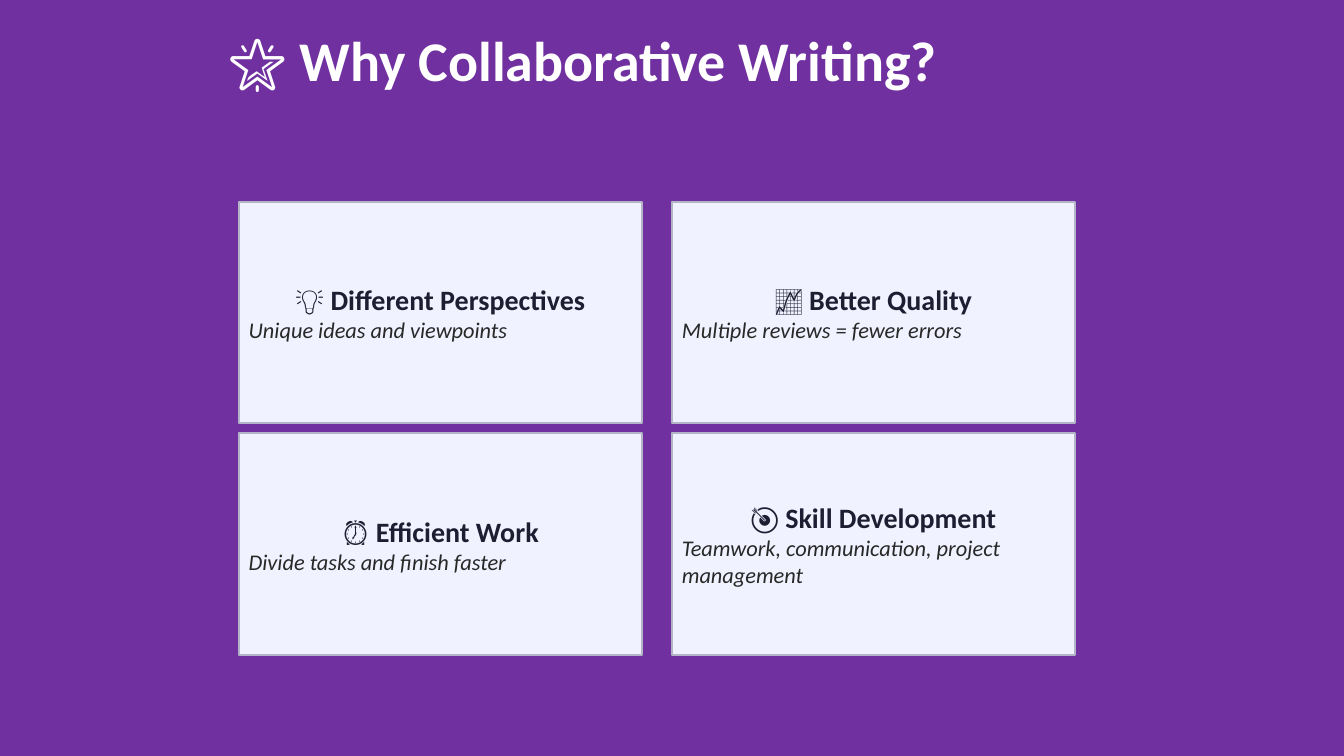
from dataclasses import dataclass

from pptx import Presentation
from pptx.dml.color import RGBColor
from pptx.enum import shapes, text
from pptx.util import Inches, Pt


@dataclass(frozen=True)
class Theme:
    face: str = "Calibri"
    back: str = "7030A0"
    title: str = "FFFFFF"
    fill: str = "F0F2FF"
    edge: str = "B4B4C8"
    head: str = "1E1E32"
    note: str = "282828"
    title_pt: int = 40
    head_pt: int = 20
    note_pt: int = 16
    edge_pt: float = 1.5


@dataclass(frozen=True)
class Card:
    head: str
    note: str


THEME = Theme()
CARDS = [
    Card("💡 Different Perspectives", "Unique ideas and viewpoints"),
    Card("📈 Better Quality", "Multiple reviews = fewer errors"),
    Card("⏰ Efficient Work", "Divide tasks and finish faster"),
    Card("🎯 Skill Development", "Teamwork, communication, project management"),
]

# Card grid, in inches
COLS = 2
LEFT, TOP = 2.37, 2.0
WIDTH, HEIGHT = 4.0, 2.2
GAP_X, GAP_Y = 0.3, 0.1


def rgb(code: str) -> RGBColor:
    return RGBColor.from_string(code)


def style(para, size: int, color: str, bold: bool, align) -> None:
    para.alignment = align
    font = para.font
    font.name, font.size = THEME.face, Pt(size)
    font.bold, font.italic = bold, not bold
    font.color.rgb = rgb(color)


def add_title(slide, words: str) -> None:
    title = slide.shapes.title
    title.left, title.top = Inches(2.17), Inches(0.2)
    title.width, title.height = Inches(7.27), Inches(0.77)
    frame = title.text_frame
    frame.text = words
    frame.word_wrap = False
    frame.auto_size = text.MSO_AUTO_SIZE.SHAPE_TO_FIT_TEXT
    frame.vertical_anchor = text.MSO_ANCHOR.TOP
    style(frame.paragraphs[0], THEME.title_pt, THEME.title, True, text.PP_ALIGN.LEFT)


def add_card(slide, card: Card, index: int) -> None:
    row, col = divmod(index, COLS)
    box = slide.shapes.add_shape(
        shapes.MSO_SHAPE.RECTANGLE,
        Inches(LEFT + col * (WIDTH + GAP_X)),
        Inches(TOP + row * (HEIGHT + GAP_Y)),
        Inches(WIDTH),
        Inches(HEIGHT),
    )
    box.shadow.inherit = False
    box.fill.solid()
    box.fill.fore_color.rgb = rgb(THEME.fill)
    box.line.color.rgb = rgb(THEME.edge)
    box.line.width = Pt(THEME.edge_pt)

    frame = box.text_frame
    frame.word_wrap = True
    frame.vertical_anchor = text.MSO_ANCHOR.MIDDLE
    frame.text = f"{card.head}\n{card.note}"
    head, note = frame.paragraphs
    style(head, THEME.head_pt, THEME.head, True, text.PP_ALIGN.CENTER)
    style(note, THEME.note_pt, THEME.note, False, text.PP_ALIGN.LEFT)


def main() -> None:
    deck = Presentation()
    deck.slide_width, deck.slide_height = Inches(13.34), Inches(7.5)
    slide = deck.slides.add_slide(deck.slide_layouts.get_by_name("Title Only"))

    # Background
    fill = slide.background.fill
    fill.solid()
    fill.fore_color.rgb = rgb(THEME.back)

    # Title and cards
    add_title(slide, "🌟 Why Collaborative Writing?")
    for index, card in enumerate(CARDS):
        add_card(slide, card, index)

    deck.save("out.pptx")


if __name__ == "__main__":
    main()
